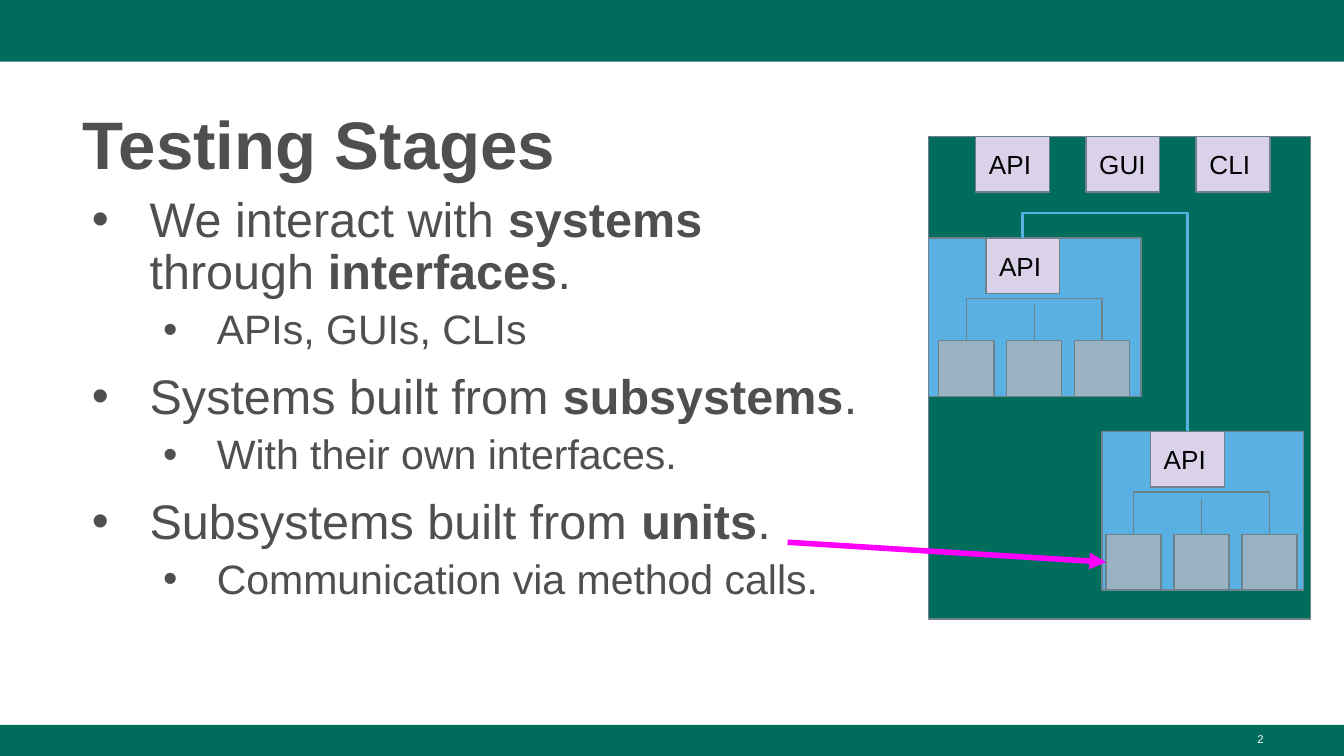
from lxml import etree
from pptx import Presentation
from pptx.dml.color import RGBColor
from pptx.enum.shapes import MSO_CONNECTOR, MSO_SHAPE
from pptx.enum.text import MSO_ANCHOR, PP_ALIGN
from pptx.oxml.ns import qn
from pptx.util import Inches, Pt

RECT, STRAIGHT = MSO_SHAPE.RECTANGLE, MSO_CONNECTOR.STRAIGHT
MIDDLE, LEFT, RIGHT = MSO_ANCHOR.MIDDLE, PP_ALIGN.LEFT, PP_ALIGN.RIGHT
TOP_SIDE, LEFT_SIDE = 0, 1

COLORS = {name: RGBColor.from_string(value) for name, value in {
    "green": "006C5C", "text": "4F4F4F", "edge": "6F828C", "lilac": "D9D2E9",
    "blue": "58B0E3", "unit": "99B3C2", "pink": "FF00FF", "white": "FFFFFF",
    "black": "000000"}.items()}

prs = Presentation()
prs.slide_width = Inches(10)
prs.slide_height = prs.slide_width * 9 // 16
U = prs.slide_width // 100  # square grid: 100 columns, 56.25 rows
s = prs.slides.add_slide(prs.slide_layouts[5])


def add_box(x, y, w, h, fill, edge="edge", label=None):
    """Rectangle in grid units, with an optional label."""
    box = s.shapes.add_shape(RECT, *[int(v * U) for v in (x, y, w, h)])
    box.shadow.inherit = False
    box.fill.solid()
    box.fill.fore_color.rgb = COLORS[fill]
    if edge:
        box.line.color.rgb = COLORS[edge]
        box.line.width = Pt(0.75)
    else:
        box.line.fill.background()
    if label:
        tf = box.text_frame
        tf.word_wrap = True
        tf.vertical_anchor = MIDDLE
        tf.margin_left = tf.margin_right = tf.margin_top = tf.margin_bottom = U
        p = tf.paragraphs[0]
        p.alignment = LEFT
        r = p.add_run()
        r.text = label
        r.font.name, r.font.size = "Arial", Pt(14)
        r.font.color.rgb = COLORS["black"]
    return box


def add_line(points, color, width):
    """Straight connector for two points, open outline for more."""
    points = [(int(x * U), int(y * U)) for x, y in points]
    if len(points) == 2:
        line = s.shapes.add_connector(STRAIGHT, *points[0], *points[1])
        etree.SubElement(line._element.spPr, qn("a:effectLst"))
    else:
        outline = s.shapes.build_freeform(*points[0])
        outline.add_line_segments(points[1:], close=False)
        line = outline.convert_to_shape()
        line.shadow.inherit = False
        line.fill.background()
    line.line.color.rgb = COLORS[color]
    line.line.width = Pt(width)
    return line


# Header and footer bands
add_box(0, 0, 100, 4.6, "green", None)
add_box(0, 53.95, 100, 2.3, "green", None)

# Title
title = s.shapes.title
title.left, title.top, title.width, title.height = [
    int(v * U) for v in (5.15, 6.75, 89.9, 7.3)]
title.text_frame.vertical_anchor = MIDDLE
p = title.text_frame.paragraphs[0]
p.alignment, p.line_spacing = LEFT, 1.08
r = p.add_run()
r.text = "Testing Stages"
r.font.name, r.font.size, r.font.bold = "Arial", Pt(36), True
r.font.color.rgb = COLORS["text"]

# Bullets: level, then runs that alternate regular and bold
BULLETS = [
    (0, ["We interact with ", "systems", " through", " interfaces", "."]),
    (1, ["APIs, GUIs, CLIs"]),
    (0, ["Systems built from ", "subsystems", "."]),
    (1, ["With their own interfaces."]),
    (0, ["Subsystems built from ", "units", "."]),
    (1, ["Communication via method calls."]),
]
LEVELS = [(0.5, -0.43, 26, 10), (1, -0.4, 22, 5)]  # margin, indent, size, space
tf = s.shapes.add_textbox(
    *[int(v * U) for v in (5.15, 14.05, 60.1, 38.1)]).text_frame
tf.word_wrap = True
for i, (level, runs) in enumerate(BULLETS):
    margin, indent, size, space = LEVELS[level]
    p = tf.add_paragraph() if i else tf.paragraphs[0]
    p.level, p.line_spacing = level, 0.9
    p.space_before = Pt(space if i else 0)
    pPr = p._p.get_or_add_pPr()
    pPr.set("marL", str(Inches(margin)))
    pPr.set("indent", str(Inches(indent)))
    bullet_color = etree.SubElement(pPr, qn("a:buClr"))
    etree.SubElement(bullet_color, qn("a:srgbClr"), val=str(COLORS["text"]))
    etree.SubElement(pPr, qn("a:buFont"), typeface="Arial")
    etree.SubElement(pPr, qn("a:buChar"), char="•")
    for j, text in enumerate(runs):
        r = p.add_run()
        r.text = text
        r.font.name, r.font.size, r.font.bold = "Arial", Pt(size), j % 2 == 1
        r.font.color.rgb = COLORS["text"]

# Slide number
tf = s.shapes.add_textbox(
    *[int(v * U) for v in (71.7, 54, 23.3, 2.3)]).text_frame
tf.word_wrap = True
p = tf.paragraphs[0]
p.alignment = RIGHT
r = p.add_run()
r.text = "2"
r.font.name, r.font.size = "Arial", Pt(6)
r.font.color.rgb = COLORS["white"]

# System and its interfaces
API_W, BOX_H, UNIT_W, UNIT_STEP = 5.5, 4.15, 4.1, 5.05
add_box(69.1, 10.15, 28.4, 35.9, "green")
for i, name in enumerate(["API", "GUI", "CLI"]):
    add_box(72.6 + 8.2 * i, 10.15, API_W, BOX_H, "lilac", label=name)

# Subsystems: left, top, width, API left, first unit left
SUBSYSTEMS = [(69.1, 17.7, 15.8, 73.35, 69.85), (82, 32.1, 15, 85.6, 82.3)]
SUB_H, BRACKET_H, STEM_H = 11.8, 3.15, 2.65
api_tops = []
for left, top, width, api_left, unit_left in SUBSYSTEMS:
    add_box(left, top, width, SUB_H, "blue")
    add_box(api_left, top, API_W, BOX_H, "lilac", label="API")
    api_tops.append((api_left + API_W / 2, top))

    # Units along the bottom edge, joined by a bracket and a stem
    unit_top = top + SUB_H - BOX_H
    bracket_top = unit_top - BRACKET_H
    units = [add_box(unit_left + UNIT_STEP * i, unit_top, UNIT_W, BOX_H, "unit")
             for i in range(3)]
    x1, x2, x3 = [unit_left + UNIT_STEP * i + UNIT_W / 2 for i in range(3)]
    add_line([(x1, unit_top), (x1, bracket_top), (x3, bracket_top),
              (x3, unit_top)], "edge", 0.75)
    stem = add_line([(x2, unit_top), (x2, unit_top - STEM_H)], "edge", 0.75)
    stem.begin_connect(units[1], TOP_SIDE)

# Link between the two subsystem APIs
(xa, ya), (xb, yb) = api_tops
add_line([(xa, ya), (xa, 15.85), (xb, 15.85), (xb, yb)], "blue", 1.5)

# Arrow from the last bullet to the first unit of the second subsystem
arrow = add_line([(58.6, 40.35), (82.3, 41.8)], "pink", 3)
arrow.end_connect(units[0], LEFT_SIDE)
etree.SubElement(arrow.line._get_or_add_ln(), qn("a:tailEnd"), type="triangle")

prs.save("out.pptx")
